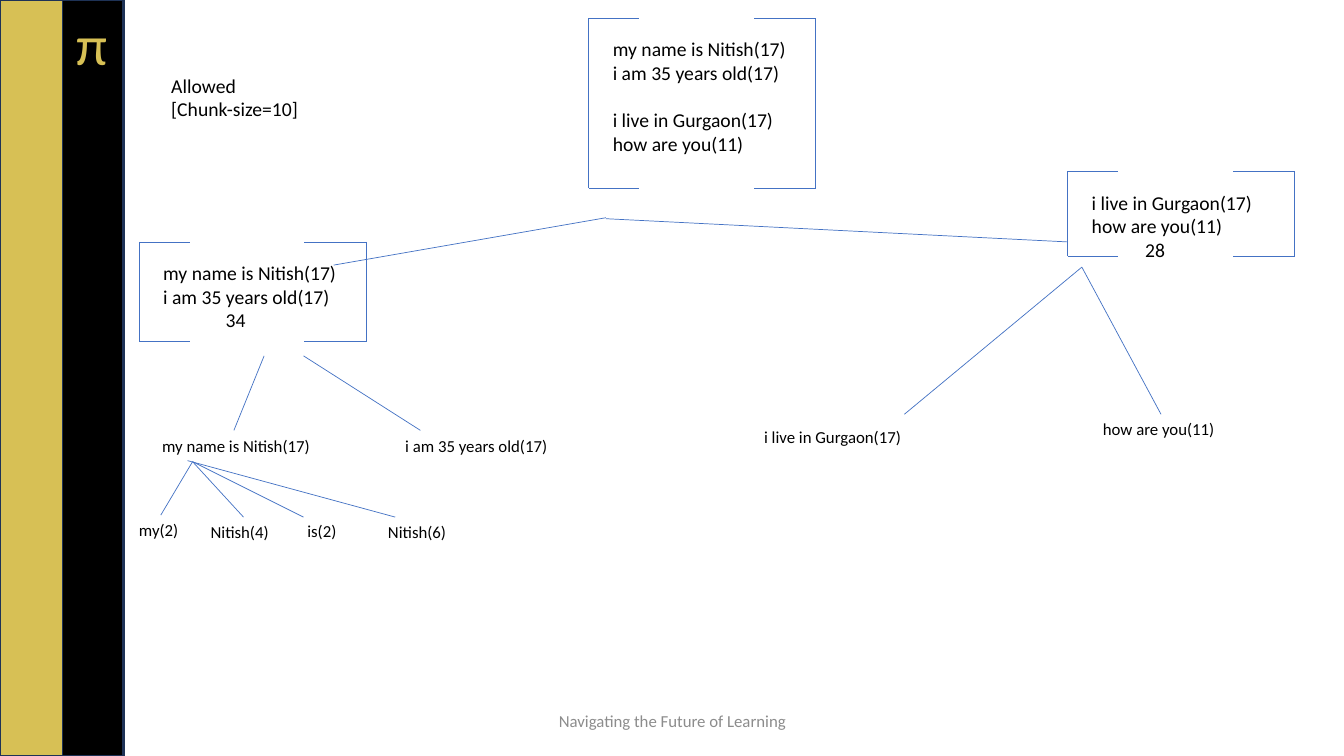
"""Build a slide showing text split recursively into chunks."""
from lxml.etree import SubElement
from pptx import Presentation
from pptx.dml.color import RGBColor
from pptx.enum.shapes import MSO_CONNECTOR, MSO_SHAPE
from pptx.enum.text import MSO_ANCHOR, MSO_AUTO_SIZE, PP_ALIGN
from pptx.oxml.ns import qn
from pptx.util import Emu, Pt

GOLD = RGBColor(0xD7, 0xC0, 0x55)
BLACK = RGBColor(0, 0, 0)
NAVY = RGBColor(0x1E, 0x32, 0x56)
BLUE = RGBColor(0x44, 0x72, 0xC4)
GREY = RGBColor(0x8C, 0x8C, 0x8C)
BRACKET_WIDTH, LEFT_STUB, RIGHT_STUB = 225, 50, 61
PADDING = 14


def px(n):
    """Convert pixels, 100 to the inch, to EMU."""
    return Emu(n * 9144)


def add_band(s, left, width, color):
    """Add a full-height vertical band."""
    sp = s.shapes.add_shape(MSO_SHAPE.RECTANGLE, px(left), 0, px(width), px(750))
    sp.shadow.inherit = False
    sp.fill.solid()
    sp.fill.fore_color.rgb = color
    sp.line.color.rgb = NAVY
    sp.line.width = Pt(1)


def add_text(s, left, top, width, height, lines, size=14, color=BLACK, wrap=True):
    """Add a text box with one paragraph per line."""
    sp = s.shapes.add_textbox(px(left), px(top), px(width), px(height))
    tf = sp.text_frame
    tf.word_wrap = wrap
    tf.auto_size = MSO_AUTO_SIZE.SHAPE_TO_FIT_TEXT
    tf.text = "\n".join(lines)
    for p in tf.paragraphs:
        p.font.name = "Calibri"
        p.font.size = Pt(size)
        p.font.color.rgb = color
    return sp


def add_footer(s, text):
    """Add the centred footer."""
    tf = add_text(s, 442, 695, 450, 40, [text], 12, GREY).text_frame
    tf.auto_size = MSO_AUTO_SIZE.NONE
    tf.vertical_anchor = MSO_ANCHOR.MIDDLE
    tf.paragraphs[0].alignment = PP_ALIGN.CENTER


def add_line(s, x1, y1, x2, y2):
    """Add a thin blue straight line."""
    line = s.shapes.add_connector(
        MSO_CONNECTOR.STRAIGHT, px(x1), px(y1), px(x2), px(y2))
    line.line.color.rgb = BLUE
    line.line.width = Pt(0.5)
    SubElement(line._element.spPr, qn("a:effectLst"))
    return line


def add_bracketed(s, left, top, height, text_height, lines):
    """Add lines of text between a pair of square brackets."""
    sp = add_text(s, left + PADDING, top + PADDING, 300, text_height, lines)
    bottom = top + height
    for x, stub in ((left, LEFT_STUB), (left + BRACKET_WIDTH, -RIGHT_STUB)):
        add_line(s, x, top, x, bottom)
        for y in (top, bottom):
            add_line(s, x, y, x + stub, y)
    return sp.text_frame.paragraphs


def add_chunk(s, left, top, width, text, start, end=None):
    """Add a chunk label and the line to it, joined at its top by default."""
    sp = add_text(s, left, top, width, 30, [text], 12, wrap=False)
    line = add_line(s, *start, *(end or (left + width // 2, top)))
    if end is None:
        line.end_connect(sp, 0)


def main():
    """Build and save the slide."""
    prs = Presentation()
    prs.slide_width, prs.slide_height = px(1333), px(750)
    s = prs.slides.add_slide(prs.slide_layouts[6])

    add_band(s, 0, 123, GOLD)
    add_band(s, 62, 60, BLACK)
    add_text(s, 66, 5, 48, 77, ["π"], 40, GOLD)
    add_footer(s, "Navigating the Future of Learning")
    add_text(s, 160, 68, 181, 57, ["Allowed", "[Chunk-size=10]"])

    first_half = ["my name is Nitish(17)", "i am 35 years old(17)"]
    second_half = ["i live in Gurgaon(17)", "how are you(11)"]
    root = add_bracketed(s, 584, 18, 169, 128, first_half + second_half)
    root[2].space_before = Pt(17)
    add_line(s, 601, 216, 331, 263)
    add_line(s, 601, 217, 1059, 240)

    halves = (
        (138, 240, 99, first_half, "34", 62),
        (1059, 170, 84, second_half, "28", 53),
    )
    for left, top, height, lines, total, indent in halves:
        paragraphs = add_bracketed(s, left, top, height, 81, lines + [total])
        paragraphs[-1]._p.get_or_add_pPr().set("marL", str(px(indent)))

    right_node, word_node = (1073, 265), (191, 458)
    chunks = (
        (151, 427, 180, first_half[0], (262, 353), (232, 427)),
        (392, 427, 175, first_half[1], (301, 353), (417, 427)),
        (748, 418, 168, second_half[0], right_node, (897, 411)),
        (1084, 411, 135, second_half[1], right_node),
        (128, 511, 63, "my(2)", word_node),
        (199, 513, 85, "Nitish(4)", word_node),
        (295, 512, 54, "is(2)", word_node, (301, 513)),
        (375, 513, 84, "Nitish(6)", (186, 457), (392, 513)),
    )
    for chunk in chunks:
        add_chunk(s, *chunk)

    prs.save("out.pptx")


if __name__ == "__main__":
    main()
